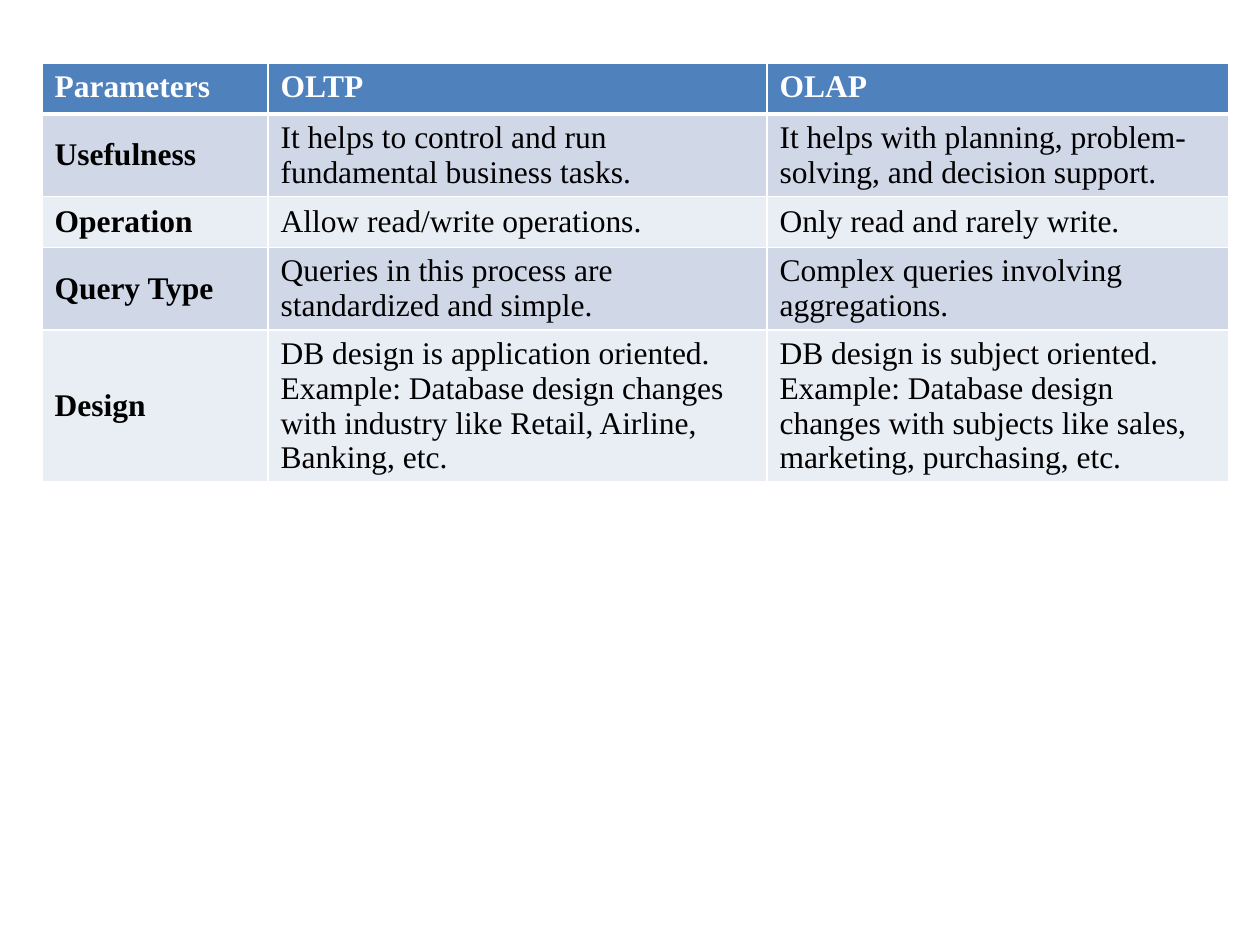
from dataclasses import dataclass

from lxml.etree import SubElement
from pptx import Presentation
from pptx.dml.color import RGBColor
from pptx.enum.text import MSO_ANCHOR
from pptx.oxml.ns import qn
from pptx.util import Emu, Pt


@dataclass(frozen=True)
class Theme:
    font: str = "Times New Roman"
    text_size: int = 18
    header_fill: str = "4F81BD"
    band_fills: tuple = ("D0D8E8", "E9EDF4")
    header_text: str = "FFFFFF"
    body_text: str = "000000"
    border: str = "FFFFFF"
    thin_line: int = 1
    thick_line: int = 3


THEME = Theme()
PAGE_BOX = (0, 0, 1260, 945)
TABLE_BOX = (42, 63, 1187, 418)
COLUMN_WIDTHS = (226, 499, 462)
ROW_HEIGHTS = (51, 82, 51, 82, 152)
COMPARISON = (
    ("Parameters", "OLTP", "OLAP"),
    (
        "Usefulness",
        "It helps to control and run fundamental business tasks.",
        "It helps with planning, problem-solving, and decision support.",
    ),
    ("Operation", "Allow read/write operations.", "Only read and rarely write."),
    (
        "Query Type",
        "Queries in this process are standardized and simple.",
        "Complex queries involving aggregations.",
    ),
    (
        "Design",
        "DB design is application oriented. Example: Database design changes "
        "with industry like Retail, Airline, Banking, etc.",
        "DB design is subject oriented. Example: Database design changes "
        "with subjects like sales, marketing, purchasing, etc.",
    ),
)


def px(length):
    return Emu(round(length * 914400 / 126))


def add_borders(cell, row_index):
    properties = cell._tc.get_or_add_tcPr()
    thick_side = {0: "lnB", 1: "lnT"}.get(row_index)
    for side in ("lnL", "lnR", "lnT", "lnB"):
        width = THEME.thick_line if side == thick_side else THEME.thin_line
        line = SubElement(properties, qn(f"a:{side}"), w=str(Pt(width)))
        fill = SubElement(line, qn("a:solidFill"))
        SubElement(fill, qn("a:srgbClr"), val=THEME.border)


def fill_cell(cell, text, row_index, column_index):
    is_header = row_index == 0
    add_borders(cell, row_index)
    color = THEME.header_fill if is_header else THEME.band_fills[(row_index - 1) % 2]
    cell.fill.solid()
    cell.fill.fore_color.rgb = RGBColor.from_string(color)
    cell.vertical_anchor = MSO_ANCHOR.TOP if is_header else MSO_ANCHOR.MIDDLE
    span = cell.text_frame.paragraphs[0].add_run()
    span.text = text
    span.font.name = THEME.font
    span.font.size = Pt(THEME.text_size)
    span.font.bold = is_header or column_index == 0
    span.font.color.rgb = RGBColor.from_string(
        THEME.header_text if is_header else THEME.body_text
    )


def add_comparison_table(page, box):
    table = page.shapes.add_table(
        len(ROW_HEIGHTS), len(COLUMN_WIDTHS), *map(px, box)
    ).table
    for column, width in zip(table.columns, COLUMN_WIDTHS):
        column.width = px(width)
    for row, height in zip(table.rows, ROW_HEIGHTS):
        row.height = px(height)
    for row_index, texts in enumerate(COMPARISON):
        for column_index, text in enumerate(texts):
            cell = table.cell(row_index, column_index)
            fill_cell(cell, text, row_index, column_index)


def main():
    deck = Presentation()
    deck.slide_width, deck.slide_height = map(px, PAGE_BOX[2:])
    page = deck.slides.add_slide(deck.slide_layouts[6])
    add_comparison_table(page, TABLE_BOX)
    deck.save("out.pptx")


if __name__ == "__main__":
    main()
